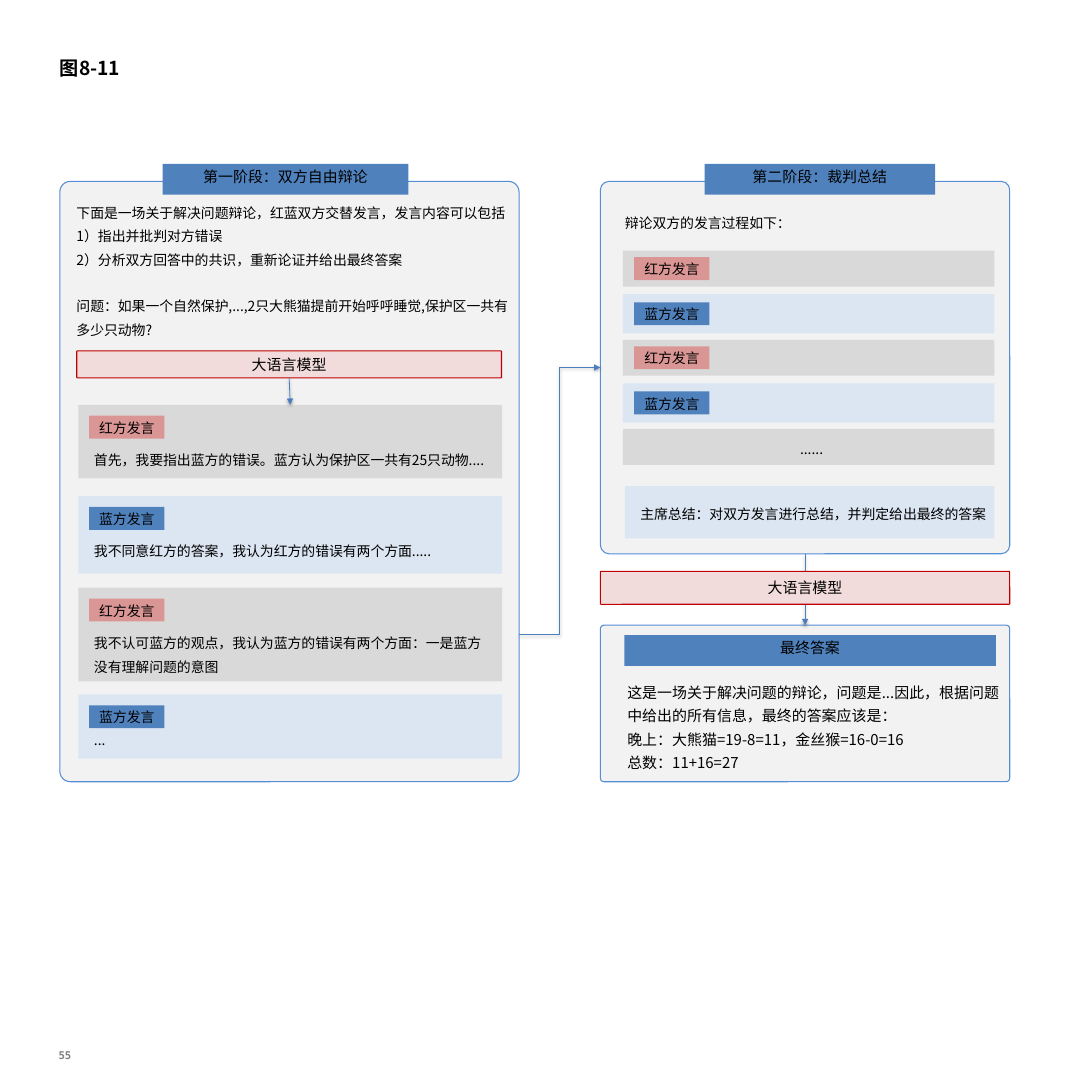
import dataclasses

import lxml.etree
import pptx
import pptx.dml.color
import pptx.enum.shapes
import pptx.enum.text
import pptx.oxml
import pptx.oxml.ns
import pptx.util

Cm = pptx.util.Cm
Pt = pptx.util.Pt
RGB = pptx.dml.color.RGBColor.from_string
qn = pptx.oxml.ns.qn
SHAPE = pptx.enum.shapes.MSO_SHAPE
LINK = pptx.enum.shapes.MSO_CONNECTOR
ANCHOR = pptx.enum.text.MSO_ANCHOR
CENTER = pptx.enum.text.PP_ALIGN.CENTER
LEFT = pptx.enum.text.PP_ALIGN.LEFT


@dataclasses.dataclass(frozen=True)
class Theme:
    font: str = "Noto Sans CJK SC"
    number_font: str = "DejaVu Sans Mono"
    ink: str = "000000"
    muted: str = "808080"
    panel: str = "F2F2F2"
    panel_line: str = "558ED5"
    blue: str = "4F81BD"
    pale_blue: str = "DCE6F2"
    red: str = "D99694"
    gray: str = "D9D9D9"
    model: str = "F2DCDB"
    model_line: str = "C00000"
    arrow: str = "4B7EBC"
    title: int = 18
    label: int = 14
    body: int = 13
    number: int = 10


T = Theme()
# Each side: name on the tag, tag colour, row colour
RED_SIDE = ("红方发言", T.red, T.gray)
BLUE_SIDE = ("蓝方发言", T.blue, T.pale_blue)
TAG_W, TAG_H = 2.49, 0.76


def style_text(tf, size, align=LEFT, spacing=None, bold=False):
    for p in tf.paragraphs:
        p.alignment = align
        p.line_spacing = spacing
        for r in p.runs:
            r.font.size, r.font.bold, r.font.name = Pt(size), bold, T.font
            r.font.color.rgb = RGB(T.ink)
            ea = lxml.etree.SubElement(r.font._element, qn("a:ea"))
            ea.set("typeface", T.font)


def add_box(s, x, y, w, h, fill, line=None, text="", size=T.label, anchor=ANCHOR.TOP):
    """Rectangle; an outlined one gets slightly rounded corners."""
    kind = SHAPE.ROUNDED_RECTANGLE if line else SHAPE.RECTANGLE
    sp = s.shapes.add_shape(kind, Cm(x), Cm(y), Cm(w), Cm(h))
    sp.shadow.inherit = False
    sp.fill.solid()
    sp.fill.fore_color.rgb = RGB(fill)
    if line:
        sp.adjustments[0] = 0.023
        sp.line.color.rgb = RGB(line)
        sp.line.width = Pt(1)
    else:
        sp.line.fill.background()
    if text:
        sp.text_frame.text = text
        sp.text_frame.vertical_anchor = anchor
        style_text(sp.text_frame, size, CENTER)
    return sp


def add_text(s, x, y, w, h, text, size=T.body, align=LEFT, spacing=1.4):
    tf = s.shapes.add_textbox(Cm(x), Cm(y), Cm(w), Cm(h)).text_frame
    tf.word_wrap = True
    tf.text = text
    style_text(tf, size, align, spacing)
    return tf


def add_model(s, x, y, w, h):
    return add_box(s, x, y, w, h, T.model, T.model_line, "大语言模型", anchor=ANCHOR.MIDDLE)


def add_tag(s, x, y, side):
    name, color, _ = side
    add_box(s, x, y, TAG_W, TAG_H, color, text=name, size=T.body)


def add_arrow(s, kind, end, end_site, begin=None, begin_site=2, start=(0, 0)):
    """Arrow into a side of end, from a side of begin or else from a free start point in cm."""
    x, y = (Cm(v) for v in start)
    c = s.shapes.add_connector(kind, x, y, x, y)
    if begin is not None:
        c.begin_connect(begin, begin_site)
    c.end_connect(end, end_site)
    c.line.color.rgb = RGB(T.arrow)
    c.line.width = Pt(0.75)
    tail = lxml.etree.SubElement(c.line._get_or_add_ln(), qn("a:tailEnd"))
    tail.set("type", "triangle")
    effects = lxml.etree.SubElement(c._element.spPr, qn("a:effectLst"))
    shadow = lxml.etree.SubElement(effects, qn("a:outerShdw"), blurRad=str(Pt(3.1)),
                                   dist=str(Pt(1.8)), dir="5400000", rotWithShape="0")
    color = lxml.etree.SubElement(shadow, qn("a:srgbClr"), val="000000")
    lxml.etree.SubElement(color, qn("a:alpha"), val="35000")


def add_title(s, x, y, w, h):
    title = s.shapes.title
    title.left, title.top, title.width, title.height = Cm(x), Cm(y), Cm(w), Cm(h)
    tf = title.text_frame
    tf.text = "图8-11"
    tf.auto_size = pptx.enum.text.MSO_AUTO_SIZE.NONE
    tf.vertical_anchor = ANCHOR.MIDDLE
    tf.margin_left = tf.margin_right = Cm(0.33)
    tf.margin_top = tf.margin_bottom = Cm(0.15)
    style_text(tf, T.title, bold=True)


def add_page_number(s, x, y, w, h):
    tf = s.shapes.add_textbox(Cm(x), Cm(y), Cm(w), Cm(h)).text_frame
    tf.margin_left = tf.margin_right = tf.margin_top = tf.margin_bottom = 0
    tf.word_wrap = True
    p = tf.paragraphs[0]
    p.text = "55"
    p.alignment = CENTER
    p.line_spacing = Pt(11.2)
    r = p.runs[0]
    r.font.size, r.font.bold, r.font.name = Pt(T.number), True, T.number_font
    r.font.color.rgb = RGB(T.muted)
    field = r._r
    field.tag = qn("a:fld")
    field.set("id", "{B6F15528-21DE-4FAA-801E-634DDDAF4B2B}")
    field.set("type", "slidenum")


def add_panel(s, x, y, w, h, tab, tab_dx, tab_w):
    panel = add_box(s, x, y, w, h, T.panel, T.panel_line)
    add_box(s, x + tab_dx, y - 0.58, tab_w, 1.02, T.blue, text=tab)
    return panel


def add_debate(s, x, y, w, h):
    add_panel(s, x, y, w, h, "第一阶段：双方自由辩论", 3.4, 8.13)
    tf = add_text(s, x + 0.3, y + 0.43, 14.86, 5.97, "\n".join([
        "下面是一场关于解决问题辩论，红蓝双方交替发言，发言内容可以包括",
        "1）指出并批判对方错误",
        "2）分析双方回答中的共识，重新论证并给出最终答案",
        "问题：如果一个自然保护,...,2只大熊猫提前开始呼呼睡觉,保护区一共有多少只动物?"]))
    tf.paragraphs[-1].space_before = Pt(21.8)
    model = add_model(s, x + 0.56, y + 5.61, 14.05, 0.89)
    speeches = [  # side, top, height, text offset, words
        (RED_SIDE, 7.39, 2.44, 1.19, "首先，我要指出蓝方的错误。蓝方认为保护区一共有25只动物...."),
        (BLUE_SIDE, 10.41, 2.57, 1.19, "我不同意红方的答案，我认为红方的错误有两个方面....."),
        (RED_SIDE, 13.44, 3.1, 1.22,
         "我不认可蓝方的观点，我认为蓝方的错误有两个方面：一是蓝方没有理解问题的意图"),
        (BLUE_SIDE, 16.97, 2.13, 0.89, "..."),
    ]
    rows = []
    for side, top, height, text_dy, words in speeches:
        left = x + 0.61
        rows.append(add_box(s, left, y + top, 14.02, height, side[2]))
        add_tag(s, left + 0.36, y + top + 0.36, side)
        add_text(s, left + 0.27, y + top + text_dy, 13.65, 1.24, words)
    add_arrow(s, LINK.STRAIGHT, rows[0], 0, model)


def add_judging(s, x, y, w, h):
    panel = add_panel(s, x, y, w, h, "第二阶段：裁判总结", 3.45, 7.62)
    add_text(s, x + 0.56, y + 0.74, 12.32, 1.24, "辩论双方的发言过程如下：")
    for i in range(5):
        side, height = ((RED_SIDE, 1.19), (BLUE_SIDE, 1.3))[i % 2]
        left, top = x + 0.74, y + 2.29 + 2.95 * (i // 2) + 1.44 * (i % 2)
        add_box(s, left, top, 12.29, height, side[2])
        if i < 4:
            add_tag(s, left + 0.38, top + (height - TAG_H) / 2, side)
        else:
            add_text(s, left + 0.2, top + 0.03, 12.09, 1.24, "......", align=CENTER)
    add_box(s, x + 0.81, y + 10.08, 12.22, 1.73, T.pale_blue)
    add_text(s, x + 1.07, y + 10.39, 12.01, 1.24, "主席总结：对双方发言进行总结，并判定给出最终的答案")
    return panel


def add_answer(s, x, y, w, h):
    panel = add_box(s, x, y, w, h, T.panel, T.panel_line)
    add_box(s, x + 0.79, y + 0.33, 12.29, 1.02, T.blue, text="最终答案")
    add_text(s, x + 0.64, y + 1.63, 12.8, 3.1, "\n".join([
        "这是一场关于解决问题的辩论，问题是...因此，根据问题中给出的所有信息，最终的答案应该是：",
        "晚上：大熊猫=19-8=11，金丝猴=16-0=16",
        "总数：11+16=27"]), T.label, spacing=1.3)
    return panel


def main():
    prs = pptx.Presentation()
    prs.slide_width, prs.slide_height = Cm(36.12), Cm(35.99)
    prs.element.set("firstSlideNum", "55")
    s = prs.slides.add_slide(prs.slide_layouts.get_by_name("Title Only"))
    add_title(s, 1.65, 1.45, 32.51, 1.6)
    add_page_number(s, 1.63, 34.72, 1.04, 0.41)
    add_debate(s, 1.98, 6, 15.19, 19.86)
    judging = add_judging(s, 19.86, 6, 13.54, 12.32)
    answer = add_answer(s, 19.86, 20.68, 13.54, 5.18)
    add_arrow(s, LINK.STRAIGHT, answer, 0, judging)
    add_model(s, 19.86, 18.9, 13.54, 1.09)
    add_arrow(s, LINK.ELBOW, judging, 1, start=(17.17, 20.98))
    prs.save("out.pptx")


if __name__ == "__main__":
    main()
